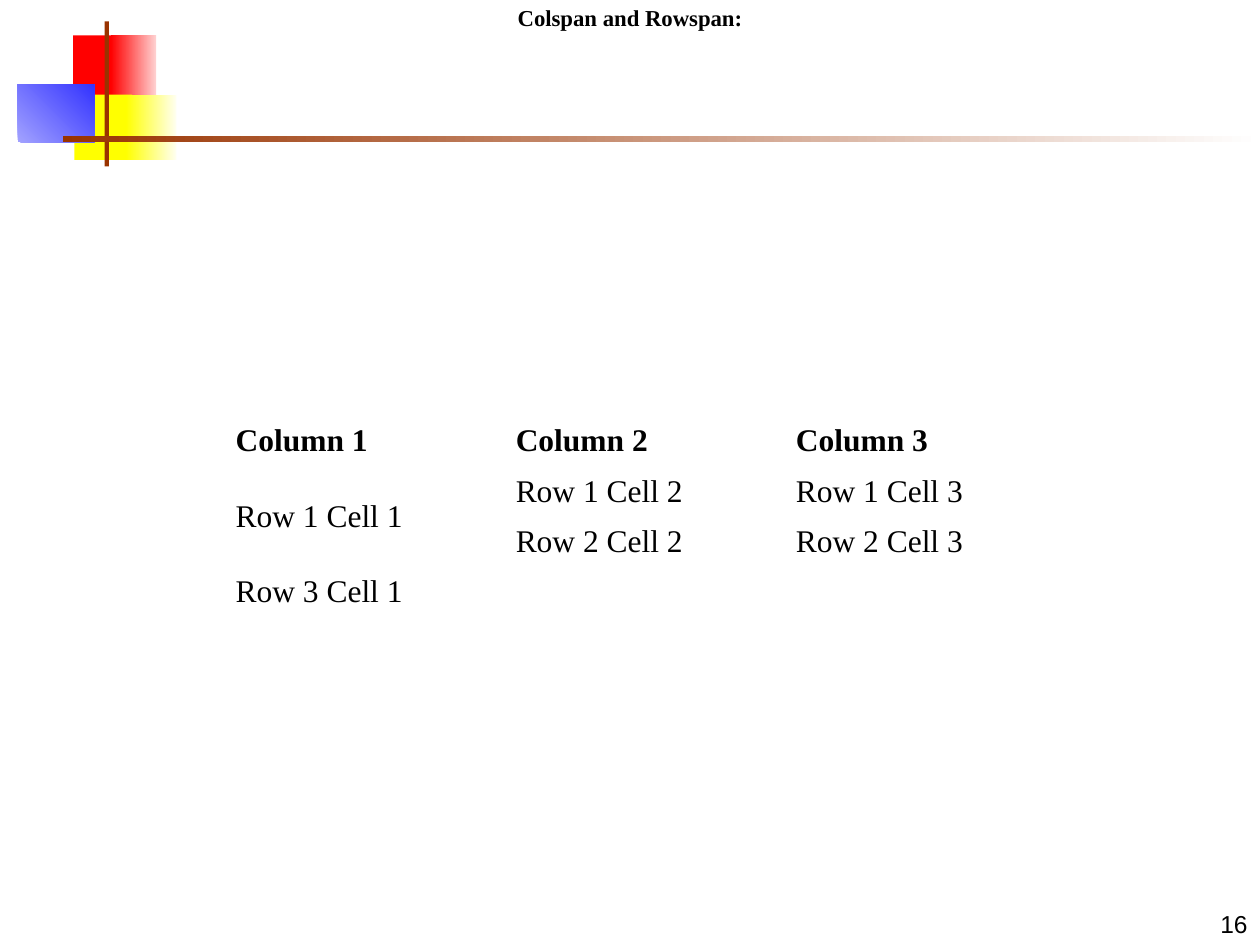
from pptx import Presentation
from pptx.dml.color import RGBColor
from pptx.enum.shapes import MSO_SHAPE
from pptx.enum.text import MSO_ANCHOR, PP_ALIGN
from pptx.util import Inches, Pt

BLACK = RGBColor(0x00, 0x00, 0x00)
WHITE = RGBColor(0xFF, 0xFF, 0xFF)
RED = RGBColor(0xFF, 0x00, 0x00)
PINK = RGBColor(0xFF, 0xD1, 0xD1)
YELLOW = RGBColor(0xFF, 0xFF, 0x00)
CREAM = RGBColor(0xFF, 0xFF, 0xF0)
LILAC = RGBColor(0xA2, 0xA2, 0xFF)
BLUE = RGBColor(0x33, 0x33, 0xFF)
BROWN = RGBColor(0x99, 0x33, 0x00)

deck = Presentation()
deck.slide_width, deck.slide_height = Inches(10), Inches(7.5)
page = deck.slides.add_slide(deck.slide_layouts[6])
COLUMN, ROW = deck.slide_width / 100, deck.slide_height / 75


def on_grid(left, top, width, height):
    """Turn grid columns and rows into slide lengths."""
    return int(left * COLUMN), int(top * ROW), int(width * COLUMN), int(height * ROW)


def add_span(para, text, size, font="Times New Roman", bold=False):
    span = para.add_run()
    span.text = text
    span.font.name, span.font.size, span.font.bold = font, Pt(size), bold
    span.font.color.rgb = BLACK


# Corner ornament: place on the grid, fill colours, gradient angle
ornament = [
    ((5.8, 2.8, 3.5, 5.2), [RED], 0),
    ((8.8, 2.8, 3.6, 5.2), [RED, PINK], 0),
    ((5.9, 7.5, 4.6, 5.2), [YELLOW], 0),
    ((10, 7.5, 4, 5.2), [YELLOW, CREAM], 0),
    ((1.4, 6.7, 6.1, 4.6), [LILAC, BLUE], 45),
    ((8.3, 1.7, 0.35, 11.5), [BROWN], 0),
    ((5, 10.8, 95, 0.5), [BROWN, WHITE], 0),
]
for place, colours, angle in ornament:
    block = page.shapes.add_shape(MSO_SHAPE.RECTANGLE, *on_grid(*place))
    block.shadow.inherit = False
    block.line.fill.background()
    if len(colours) == 1:
        block.fill.solid()
        block.fill.fore_color.rgb = colours[0]
    else:
        block.fill.gradient()
        block.fill.gradient_angle = angle
        for stop, colour in zip(block.fill.gradient_stops, colours):
            stop.color.rgb = colour

# Table with one cell across two rows and one across three columns
cell_texts = [
    ["Column 1", "Column 2", "Column 3"],
    ["Row 1 Cell 1", "Row 1 Cell 2", "Row 1 Cell 3"],
    [None, "Row 2 Cell 2", "Row 2 Cell 3"],
    ["Row 3 Cell 1", None, None],
]
table = page.shapes.add_table(4, 3, *on_grid(17.7, 33, 66.7, 16)).table
table.first_row = table.horz_banding = False
table.cell(1, 0).merge(table.cell(2, 0))
table.cell(3, 0).merge(table.cell(3, 2))
for row, texts in enumerate(cell_texts):
    for column, text in enumerate(texts):
        cell = table.cell(row, column)
        cell.fill.background()
        cell.vertical_anchor = MSO_ANCHOR.MIDDLE
        if text:
            add_span(cell.text_frame.paragraphs[0], text, 18, bold=row == 0)

# Slide number
number_box = page.shapes.add_textbox(*on_grid(79.2, 70, 20.8, 5)).text_frame
number_box.word_wrap = True
number_box.vertical_anchor = MSO_ANCHOR.BOTTOM
number_box.paragraphs[0].alignment = PP_ALIGN.RIGHT
add_span(number_box.paragraphs[0], "16", 14, font="Arial")

# Title
title_box = page.shapes.add_textbox(*on_grid(40.1, -0.2, 19.8, 5.4)).text_frame
title_box.word_wrap = False
title_box.vertical_anchor = MSO_ANCHOR.TOP
add_span(title_box.paragraphs[0], "Colspan and Rowspan:", 13, bold=True)

deck.save("out.pptx")
